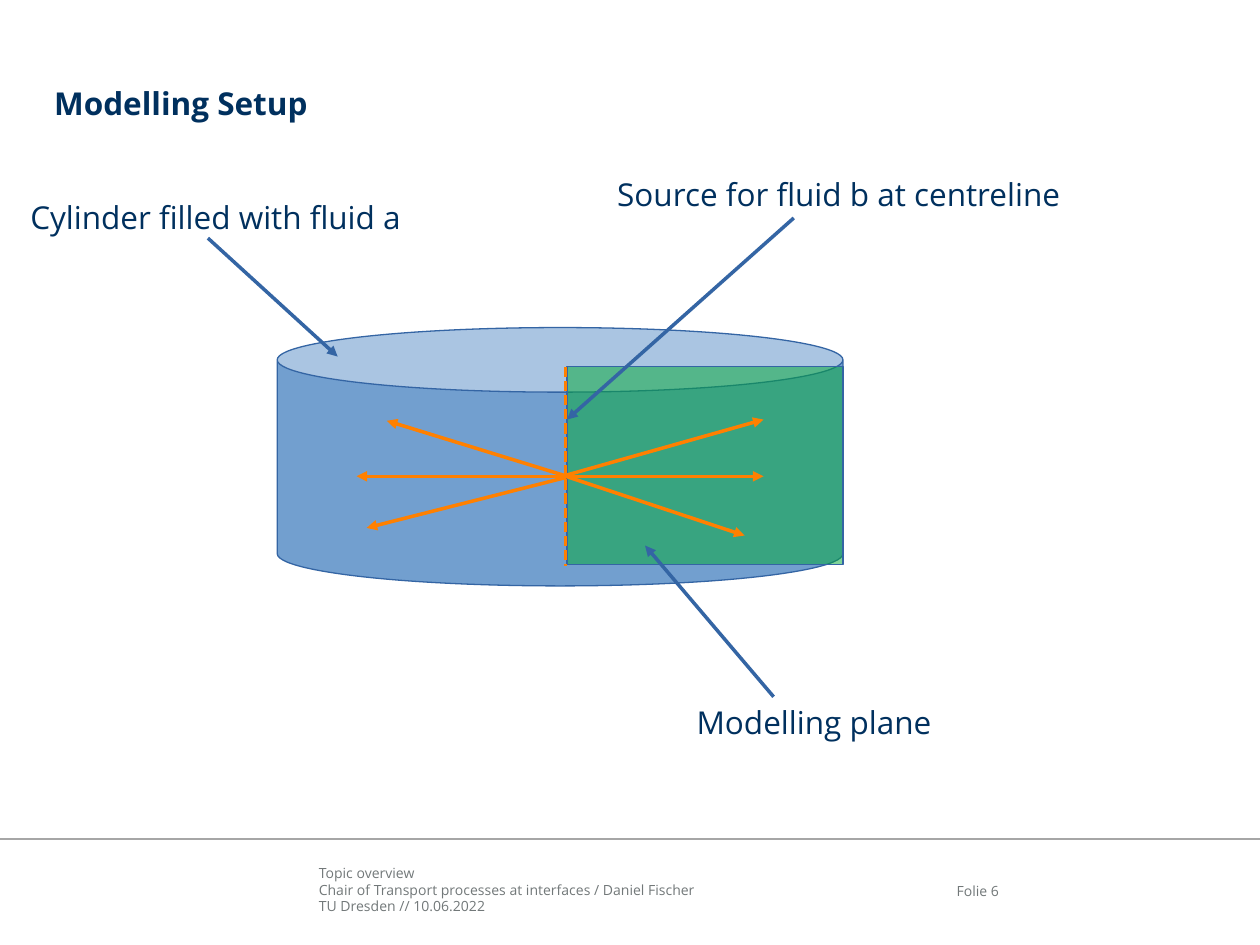
from dataclasses import dataclass

import lxml.etree
import pptx
import pptx.dml.color
import pptx.enum.dml
import pptx.enum.shapes
import pptx.enum.text
import pptx.oxml.ns
import pptx.util
from pptx.util import Inches

COLORS = {
    "navy": "00305E",
    "footer": "727879",
    "rule": "A6A6A6",
    "cylinder": "729FCF",
    "outline": "3465A4",
    "plane": "00A933",
    "flow": "FF8000",
}
FONT = "Open Sans"
SHAPES = pptx.enum.shapes.MSO_SHAPE
ALIGN = pptx.enum.text.PP_ALIGN
ANCHOR = pptx.enum.text.MSO_ANCHOR


@dataclass(frozen=True)
class Box:
    left: float
    top: float
    width: float
    height: float

    def lengths(self) -> tuple:
        return tuple(Inches(v) for v in (self.left, self.top, self.width, self.height))


@dataclass(frozen=True)
class Label:
    text: str
    box: Box
    size: float = 18
    color: str = "navy"
    inset: tuple[float, float] = (0, 0)
    align: ALIGN = ALIGN.LEFT
    anchor: ANCHOR = ANCHOR.TOP
    bold: bool = False


@dataclass(frozen=True)
class Line:
    start: tuple[float, float]
    end: tuple[float, float]
    color: str = "outline"
    width: float = 0
    arrow: bool = True
    dashed: bool = False


TITLE = Label("Modelling Setup", Box(0.43, 0.37, 9.15, 0.89), anchor=ANCHOR.MIDDLE, bold=True)
FOOTERS = [
    Label(
        "Topic overview\n"
        "Chair of Transport processes at interfaces / Daniel Fischer\n"
        "TU Dresden // 10.06.2022",
        Box(2.53, 6.86, 4.52, 0.4), 8, "footer",
    ),
    Label("Folie 6", Box(7.17, 6.86, 0.76, 0.42), 8, "footer",
          align=ALIGN.RIGHT, anchor=ANCHOR.MIDDLE),
]
CALLOUTS = [
    (Label("Cylinder filled with fluid a", Box(0.24, 1.57, 2.99, 0.34)),
     Line((1.65, 1.89), (2.68, 2.83))),
    (Label("Source for fluid b at centreline", Box(4.8, 1.34, 3.78, 0.66), inset=(0.1, 0.05)),
     Line((6.3, 1.73), (4.5, 3.33))),
    (Label("Modelling plane", Box(5.43, 5.53, 2.99, 0.44), inset=(0.1, 0.05)),
     Line((6.14, 5.53), (5.12, 4.33))),
]
FOOTER_RULE = Line((0, 6.66), (10, 6.66), "rule", 1, arrow=False)
CENTRELINE = Line((4.49, 2.91), (4.49, 4.49), "flow", arrow=False, dashed=True)
FLOW_ARROWS = [
    Line(start, end, "flow")
    for start, end in [
        ((4.41, 3.78), (6.06, 3.78)),
        ((4.49, 3.78), (2.83, 3.78)),
        ((4.49, 3.78), (5.91, 4.25)),
        ((4.49, 3.79), (2.91, 4.19)),
        ((4.5, 3.78), (3.07, 3.34)),
        ((4.5, 3.77), (6.06, 3.33)),
    ]
]


def rgb(name: str) -> pptx.dml.color.RGBColor:
    return pptx.dml.color.RGBColor.from_string(COLORS[name])


def add_element(parent, tag: str, **attributes: str) -> None:
    lxml.etree.SubElement(parent, pptx.oxml.ns.qn(tag), attributes)


def write_label(shape, label: Label) -> None:
    shape.left, shape.top, shape.width, shape.height = label.box.lengths()
    frame = shape.text_frame
    frame.text = label.text
    frame.word_wrap = True
    frame.vertical_anchor = label.anchor
    frame.margin_left = frame.margin_right = Inches(label.inset[0])
    frame.margin_top = frame.margin_bottom = Inches(label.inset[1])
    for paragraph in frame.paragraphs:
        paragraph.alignment = label.align
        for run in paragraph.runs:
            run.font.name = FONT
            run.font.size = pptx.util.Pt(label.size)
            run.font.bold = label.bold
            run.font.color.rgb = rgb(label.color)


def add_label(shapes, label: Label) -> None:
    write_label(shapes.add_textbox(*label.box.lengths()), label)


def add_line(shapes, line: Line) -> None:
    connector = shapes.add_connector(
        pptx.enum.shapes.MSO_CONNECTOR.STRAIGHT,
        *(Inches(value) for value in line.start + line.end),
    )
    connector.line.color.rgb = rgb(line.color)
    connector.line.width = pptx.util.Pt(line.width)
    if line.dashed:
        connector.line.dash_style = pptx.enum.dml.MSO_LINE.SQUARE_DOT
    properties = connector.element.spPr
    if line.arrow:
        add_element(properties.find(pptx.oxml.ns.qn("a:ln")), "a:tailEnd", type="triangle")
    add_element(properties, "a:effectLst")


def add_solid(shapes, kind: SHAPES, box: Box, fill: str):
    shape = shapes.add_shape(kind, *box.lengths())
    shape.shadow.inherit = False
    shape.fill.solid()
    shape.fill.fore_color.rgb = rgb(fill)
    shape.line.color.rgb = rgb("outline")
    shape.line.width = pptx.util.Pt(0)
    return shape


def set_opacity(shape, percent: int) -> None:
    fill = shape.element.spPr.find(pptx.oxml.ns.qn("a:solidFill"))
    add_element(fill[0], "a:alpha", val=str(percent * 1000))


def main() -> None:
    presentation = pptx.Presentation()
    presentation.slide_width, presentation.slide_height = Inches(10), Inches(7.5)
    slide = presentation.slides.add_slide(presentation.slide_layouts[5])
    shapes = slide.shapes

    write_label(shapes.title, TITLE)
    for footer in FOOTERS:
        add_label(shapes, footer)
    add_line(shapes, FOOTER_RULE)

    cylinder = add_solid(shapes, SHAPES.CAN, Box(2.2, 2.6, 4.49, 2.05), "cylinder")
    cylinder.adjustments[0] = 0.25
    plane = add_solid(shapes, SHAPES.RECTANGLE, Box(4.5, 2.91, 2.19, 1.57), "plane")
    set_opacity(plane, 50)

    flow = shapes.add_group_shape()
    for line in [CENTRELINE, *FLOW_ARROWS]:
        add_line(flow.shapes, line)
    for label, pointer in CALLOUTS:
        add_label(shapes, label)
        add_line(shapes, pointer)

    presentation.save("out.pptx")


if __name__ == "__main__":
    main()
